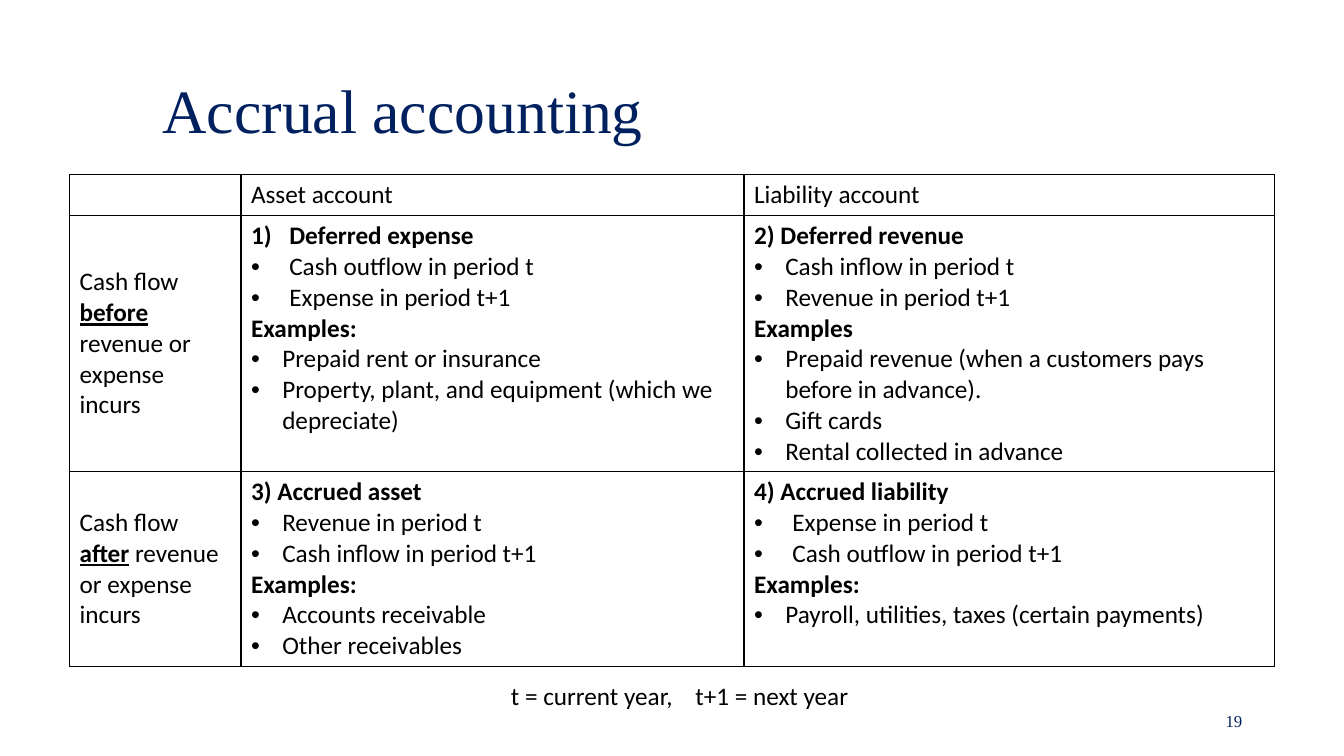
from lxml import etree
from pptx import Presentation, util as u
from pptx.dml.color import RGBColor
from pptx.enum import text as t
from pptx.oxml.ns import qn

COLORS = {"navy": "002060", "black": "000000"}
SERIF, SANS = "Times New Roman", "Calibri"
INDENTS = {"wide": 0.38, "number": 0.38, "bullet": 0.31}

deck = Presentation()
deck.slide_width, deck.slide_height = u.Inches(13.33), u.Inches(7.5)
page = deck.slides.add_slide(deck.slide_layouts[5])


def share(left, top, width, height):
    across, down = deck.slide_width / 100, deck.slide_height / 100
    return [round(value) for value in
            (left * across, top * down, width * across, height * down)]


def write(para, words, size=18, face=SANS, color="black", bold=False, underline=False):
    span = para.add_run()
    span.text = words
    span.font.size = u.Pt(size)
    span.font.name = face
    span.font.color.rgb = RGBColor.from_string(COLORS[color])
    span.font.bold = bold
    span.font.underline = underline


title = page.shapes.title
title.left, title.top, title.width, title.height = share(11.33, 5.33, 80.72, 19.33)
title.text_frame.auto_size = t.MSO_AUTO_SIZE.NONE
title.text_frame.vertical_anchor = t.MSO_ANCHOR.MIDDLE
para = title.text_frame.paragraphs[0]
para.alignment = t.PP_ALIGN.JUSTIFY
para.line_spacing = 0.9
write(para, "Accrual accounting", 44, SERIF, "navy")

number = page.shapes.add_textbox(*share(70.67, 92.67, 22.5, 5.33))
number.text_frame.word_wrap = True
number.text_frame.vertical_anchor = t.MSO_ANCHOR.MIDDLE
para = number.text_frame.paragraphs[0]
para.alignment = t.PP_ALIGN.RIGHT
write(para, "19", 12, SERIF, "navy")

cells = [
    [
        [],
        [("plain", "Asset account")],
        [("plain", "Liability account")],
    ],
    [
        [("label", "before")],
        [
            ("number", "Deferred expense"),
            ("wide", "Cash outflow in period t"),
            ("wide", "Expense in period t+1"),
            ("head", "Examples:"),
            ("bullet", "Prepaid rent or insurance"),
            ("bullet", "Property, plant, and equipment (which we depreciate)"),
        ],
        [
            ("head", "2) Deferred revenue"),
            ("bullet", "Cash inflow in period t"),
            ("bullet", "Revenue in period t+1"),
            ("head", "Examples"),
            ("bullet", "Prepaid revenue (when a customers pays before in advance)."),
            ("bullet", "Gift cards"),
            ("bullet", "Rental collected in advance"),
        ],
    ],
    [
        [("label", "after")],
        [
            ("head", "3) Accrued asset"),
            ("bullet", "Revenue in period t"),
            ("bullet", "Cash inflow in period t+1"),
            ("head", "Examples:"),
            ("bullet", "Accounts receivable"),
            ("bullet", "Other receivables"),
        ],
        [
            ("head", "4) Accrued liability"),
            ("wide", "Expense in period t"),
            ("wide", "Cash outflow in period t+1"),
            ("head", "Examples:"),
            ("bullet", "Payroll, utilities, taxes (certain payments)"),
        ],
    ],
]
column_shares = [12.75, 37.43, 39.46]
row_shares = [5.47, 33.87, 25.73]

frame = page.shapes.add_table(
    len(cells), len(column_shares),
    *share(5.18, 23.07, sum(column_shares), sum(row_shares)))
table = frame.table
table.first_row = table.horz_banding = False
for column, portion in zip(table.columns, column_shares):
    column.width = round(deck.slide_width * portion / 100)
for row, portion in zip(table.rows, row_shares):
    row.height = round(deck.slide_height * portion / 100)

for r, row in enumerate(cells):
    for c, entries in enumerate(row):
        cell = table.cell(r, c)
        props = cell._tc.get_or_add_tcPr()
        for side in ("a:lnL", "a:lnR", "a:lnT", "a:lnB"):
            border = etree.SubElement(props, qn(side), w=str(u.Pt(1)))
            fill = etree.SubElement(border, qn("a:solidFill"))
            etree.SubElement(fill, qn("a:srgbClr"), val=COLORS["black"])
        cell.fill.background()
        if r and c == 0:
            cell.vertical_anchor = t.MSO_ANCHOR.MIDDLE
        for i, (kind, words) in enumerate(entries):
            para = cell.text_frame.paragraphs[0] if i == 0 else cell.text_frame.add_paragraph()
            if kind in INDENTS:
                layout = para._p.get_or_add_pPr()
                indent = u.Inches(INDENTS[kind])
                layout.set("marL", str(indent))
                layout.set("indent", str(-indent))
                if kind == "number":
                    etree.SubElement(layout, qn("a:buFont"), typeface="+mj-lt")
                    etree.SubElement(layout, qn("a:buAutoNum"), type="arabicParenR")
                else:
                    etree.SubElement(layout, qn("a:buFont"), typeface="Arial")
                    etree.SubElement(layout, qn("a:buChar"), char="•")
            if kind == "label":
                write(para, "Cash flow ")
                write(para, words, bold=True, underline=True)
                write(para, " revenue or expense incurs")
            else:
                write(para, words, bold=kind in ("head", "number"))

legend = page.shapes.add_textbox(*share(37.28, 89.33, 44.56, 5.33))
legend.text_frame.word_wrap = True
legend.text_frame.auto_size = t.MSO_AUTO_SIZE.SHAPE_TO_FIT_TEXT
para = legend.text_frame.paragraphs[0]
stops = etree.SubElement(para._p.get_or_add_pPr(), qn("a:tabLst"))
etree.SubElement(stops, qn("a:tab"), pos=str(u.Inches(1.83)), algn="l")
write(para, "t = current year,\tt+1 = next year")

deck.save("out.pptx")
